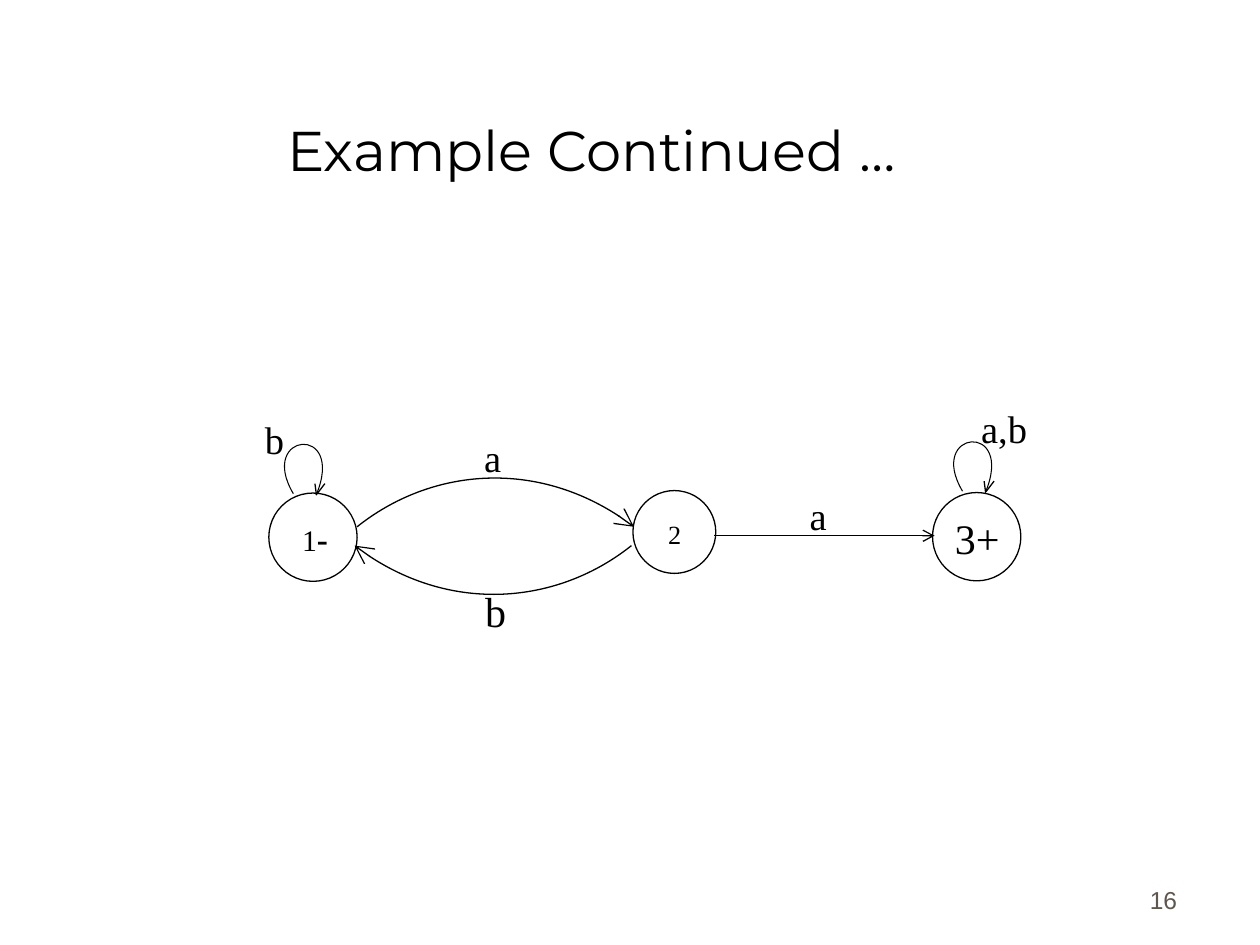
from lxml.etree import SubElement
from pptx import Presentation
from pptx.dml.color import RGBColor
from pptx.enum.shapes import MSO_CONNECTOR, MSO_SHAPE
from pptx.enum.text import MSO_ANCHOR, PP_ALIGN
from pptx.oxml.ns import qn
from pptx.util import Cm, Pt

BLACK, WHITE, GREY = "000000", "FFFFFF", "5E574E"
SERIF = "Times New Roman"
TITLE = ("Example Continued …", (1.13, 0.64, 21.59, 3.18))
PAGE_NUMBER = ("16", (18.7, 17.28, 5.28, 1.27))

# Lengths in centimetres: left, top, diameter
STATES = [(12.76, 9.89, 1.67), (5.42, 9.94, 1.78), (18.8, 9.93, 1.78)]

# Start, two control points, end
ARCS = [
    [(7.2, 10.62), (8.64, 9.47), (10.95, 9.21), (12.78, 10.62)],
    [(12.73, 11.0), (11.3, 12.14), (8.99, 12.42), (7.15, 11.0)],
]
LOOP = [(5.98, 9.96), (5.14, 8.79), (6.92, 8.45), (6.44, 9.95)]
LOOP_ROTATION = 5
LOOP_HEAD = [[(6.35, 9.75), (6.38, 9.98)], [(6.39, 9.96), (6.55, 9.75)]]
LOOP_OFFSETS = [(0, 0), (13.49, -0.05)]
STRAIGHT_ARROW = (14.4, 10.8, 18.84, 10.8)

# Runs (text, size, bold), box, alignment
LABELS = [
    ([("a,b", 22, False)], (19.53, 8.05, 2.49, 1.7), PP_ALIGN.LEFT),
    ([("b", 22, False)], (5.09, 8.26, 2.49, 1.7), PP_ALIGN.LEFT),
    ([("a", 22, False)], (9.51, 8.63, 1.04, 1.02), PP_ALIGN.LEFT),
    ([("b", 24, False)], (9.53, 11.68, 1.04, 1.02), PP_ALIGN.LEFT),
    ([("a", 22, False)], (16.07, 9.79, 1.04, 1.02), PP_ALIGN.LEFT),
    ([("1", 17, False), ("-", 19, True)], (5.84, 10.32, 1.04, 1.02), PP_ALIGN.LEFT),
    ([("2", 15, False)], (12.43, 10.32, 2.34, 1.18), PP_ALIGN.CENTER),
    ([("3+", 24, False)], (19.0, 10.21, 1.96, 0.86), PP_ALIGN.LEFT),
]


def color(value):
    return RGBColor.from_string(value)


def add_run(paragraph, text, name, size, value, bold=False):
    run = paragraph.add_run()
    run.text = text
    for key, setting in {"name": name, "size": Pt(size), "bold": bold}.items():
        setattr(run.font, key, setting)
    run.font.color.rgb = color(value)


def add_text_box(slide, box, alignment, anchor=MSO_ANCHOR.TOP):
    """Add an empty text box and return its paragraph."""
    frame = slide.shapes.add_textbox(*map(Cm, box)).text_frame
    frame.word_wrap = True
    frame.vertical_anchor = anchor
    frame.paragraphs[0].alignment = alignment
    return frame.paragraphs[0]


def set_line(shape, width=0.75):
    shape.line.color.rgb = color(BLACK)
    shape.line.width = Pt(width)


def add_arrowhead(shape, size):
    SubElement(shape.line._get_or_add_ln(), qn("a:tailEnd"),
               {"type": "arrow", "w": size, "len": size})


def add_outline(slide, points, width=0.75):
    """Draw an open, unfilled outline."""
    start, *others = [(Cm(x), Cm(y)) for x, y in points]
    builder = slide.shapes.build_freeform(*start)
    builder.add_line_segments(others, close=False)
    shape = builder.convert_to_shape()
    shape.shadow.inherit = False
    shape.fill.background()
    set_line(shape, width)
    return shape


def add_curve(slide, points, width=0.75):
    """Draw an outline and turn its three segments into one cubic curve."""
    shape = add_outline(slide, points, width)
    segments = list(shape._element.iter(qn("a:lnTo")))
    outline = segments[0].getparent()
    curve = SubElement(outline, qn("a:cubicBezTo"))
    for segment in segments:
        curve.append(segment[0])
        outline.remove(segment)
    return shape


def add_loop(slide, shift_x, shift_y):
    def shifted(points):
        return [(x + shift_x, y + shift_y) for x, y in points]

    add_curve(slide, shifted(LOOP), 0.6).rotation = LOOP_ROTATION
    for stroke in LOOP_HEAD:
        add_outline(slide, shifted(stroke))


def add_state(slide, left, top, diameter):
    circle = slide.shapes.add_shape(
        MSO_SHAPE.OVAL, Cm(left), Cm(top), Cm(diameter), Cm(diameter))
    circle.shadow.inherit = False
    circle.fill.solid()
    circle.fill.fore_color.rgb = color(WHITE)
    set_line(circle)


def add_title(slide):
    text, box = TITLE
    title = slide.shapes.title
    for key, length in zip(("left", "top", "width", "height"), box):
        setattr(title, key, Cm(length))
    title.text_frame.vertical_anchor = MSO_ANCHOR.BOTTOM
    paragraph = title.text_frame.paragraphs[0]
    paragraph.alignment = PP_ALIGN.CENTER
    add_run(paragraph, text, "Montserrat", 32, BLACK)


def main():
    presentation = Presentation()
    presentation.slide_width, presentation.slide_height = Cm(25.4), Cm(19.05)
    slide = presentation.slides.add_slide(presentation.slide_layouts[5])
    add_title(slide)

    text, box = PAGE_NUMBER
    paragraph = add_text_box(slide, box, PP_ALIGN.RIGHT, MSO_ANCHOR.BOTTOM)
    add_run(paragraph, text, "Arial", 14, GREY)

    for state in STATES:
        add_state(slide, *state)
    for arc in ARCS:
        add_arrowhead(add_curve(slide, arc), "lg")
    for offset in LOOP_OFFSETS:
        add_loop(slide, *offset)

    arrow = slide.shapes.add_connector(MSO_CONNECTOR.STRAIGHT, *map(Cm, STRAIGHT_ARROW))
    set_line(arrow)
    add_arrowhead(arrow, "med")
    SubElement(arrow._element.spPr, qn("a:effectLst"))

    for runs, box, alignment in LABELS:
        paragraph = add_text_box(slide, box, alignment)
        for text, size, bold in runs:
            add_run(paragraph, text, SERIF, size, BLACK, bold)

    presentation.save("out.pptx")


if __name__ == "__main__":
    main()
